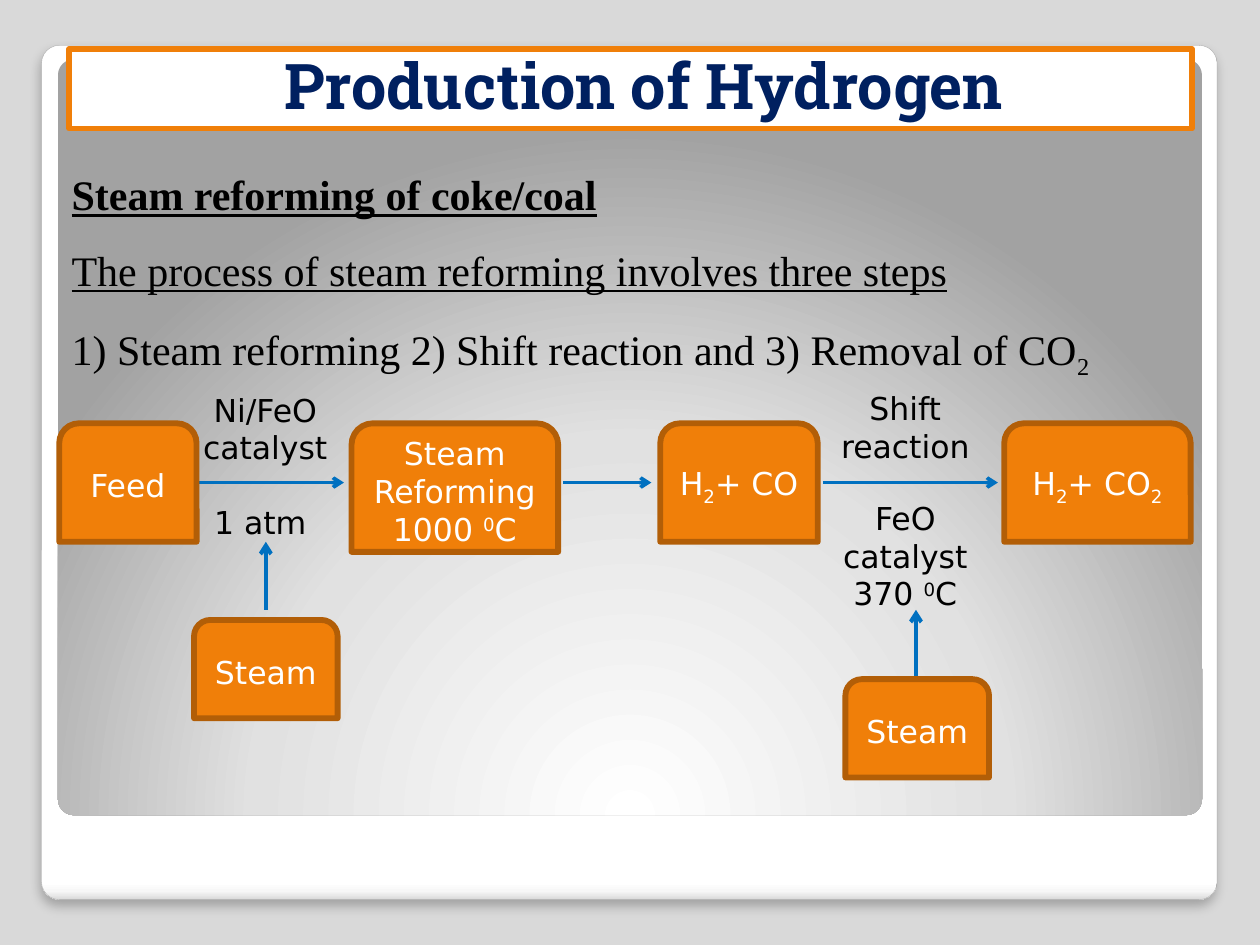
from lxml import etree
from pptx import Presentation
from pptx.dml.color import RGBColor
from pptx.enum.shapes import MSO_CONNECTOR, MSO_SHAPE
from pptx.enum.text import MSO_ANCHOR, MSO_AUTO_SIZE, PP_ALIGN
from pptx.oxml import parse_xml
from pptx.oxml.ns import nsdecls, qn
from pptx.util import Inches, Pt

ROUNDED = MSO_SHAPE.ROUNDED_RECTANGLE
STEP_BOX = MSO_SHAPE.ROUND_2_SAME_RECTANGLE
STRAIGHT = MSO_CONNECTOR.STRAIGHT
CENTER, JUSTIFY = PP_ALIGN.CENTER, PP_ALIGN.JUSTIFY
TOP, MIDDLE, BOTTOM = MSO_ANCHOR.TOP, MSO_ANCHOR.MIDDLE, MSO_ANCHOR.BOTTOM
NO_AUTOFIT = MSO_AUTO_SIZE.NONE

SUB, SUPER = -25000, 30000  # baseline shifts


def color(hex_string):
    return RGBColor.from_string(hex_string)


def write(frame, paragraphs, font="DejaVu Sans", size=18, ink="000000",
          bold=False, align=CENTER, anchor=TOP, line_spacing=None):
    """Each paragraph is a list of runs: plain text or (text, baseline)."""
    frame.word_wrap = True
    frame.auto_size = NO_AUTOFIT
    frame.vertical_anchor = anchor
    for index, runs in enumerate(paragraphs):
        paragraph = frame.add_paragraph() if index else frame.paragraphs[0]
        paragraph.alignment = align
        if line_spacing:
            paragraph.line_spacing = line_spacing
        for part in runs:
            text, baseline = (part, 0) if isinstance(part, str) else part
            run = paragraph.add_run()
            run.text = text
            run.font.name, run.font.size = font, Pt(size)
            run.font.bold = bold
            run.font.color.rgb = color(ink)
            if baseline:
                run._r.get_or_add_rPr().set("baseline", str(baseline))
    return frame.paragraphs


class Slide:
    orange, dark_orange, blue, navy = "F07F09", "B25E07", "0070C0", "002060"

    def __init__(self, presentation):
        self.slide = presentation.slides.add_slide(presentation.slide_layouts[5])
        self.shapes = self.slide.shapes

    def background(self, fill):
        self.slide.background.fill.solid()
        self.slide.background.fill.fore_color.rgb = color(fill)

    def panel(self, at, stops, direction, outline=None, shadow=None):
        panel = self.shapes.add_shape(ROUNDED, *map(Inches, at))
        panel.adjustments[0] = 0.021
        panel.shadow.inherit = False
        stop_xml = "".join(
            f'<a:gs pos="{pos * 1000}"><a:srgbClr val="{value}"/></a:gs>'
            for pos, value in stops)
        gradient = parse_xml(
            f'<a:gradFill {nsdecls("a")} rotWithShape="1">'
            f'<a:gsLst>{stop_xml}</a:gsLst>{direction}</a:gradFill>')
        properties = panel._element.spPr
        properties.find(qn("a:prstGeom")).addnext(gradient)
        if outline:
            panel.line.color.rgb = color(outline)
            panel.line.width = Pt(0.16)
        else:
            panel.line.fill.background()
        if shadow:
            properties.find(qn("a:effectLst")).append(parse_xml(shadow))

    def title(self, text, at):
        title = self.shapes.title
        title.left, title.top, title.width, title.height = map(Inches, at)
        self.paint(title, "FFFFFF", self.orange)
        title.text_frame.margin_left = Inches(0.31)
        write(title.text_frame, [[text]], font="Roboto Slab", size=36,
              ink=self.navy, bold=True, anchor=BOTTOM)
        self.shapes._spTree.append(title._element)  # in front of the panels

    def paint(self, shape, fill, outline):
        shape.fill.solid()
        shape.fill.fore_color.rgb = color(fill)
        shape.line.color.rgb = color(outline)
        shape.line.width = Pt(3.35)

    def text(self, paragraphs, at, **style):
        box = self.shapes.add_textbox(*map(Inches, at))
        return write(box.text_frame, paragraphs, **style)

    def step(self, paragraphs, at):
        box = self.shapes.add_shape(STEP_BOX, *map(Inches, at))
        box.shadow.inherit = False
        self.paint(box, self.orange, self.dark_orange)
        write(box.text_frame, paragraphs, ink="FFFFFF", anchor=MIDDLE)

    def arrow(self, start, end, width=2):
        arrow = self.shapes.add_connector(STRAIGHT, *map(Inches, start + end))
        arrow.line.color.rgb = color(self.blue)
        arrow.line.width = Pt(width)
        etree.SubElement(arrow.line._get_or_add_ln(), qn("a:tailEnd"), type="arrow")
        etree.SubElement(arrow._element.spPr, qn("a:effectLst"))


def main():
    presentation = Presentation()
    presentation.slide_width, presentation.slide_height = Inches(10), Inches(7.5)
    page = Slide(presentation)

    # Backdrop: white card with a grey spotlight panel
    page.background("D9D9D9")
    page.panel(
        (0.33, 0.36, 9.33, 6.78),
        [(0, "FFFFFF"), (98, "FFFFFF"), (99, "F7F7F7"), (100, "DADADA")],
        '<a:lin ang="5400000" scaled="0"/>', outline="A4A4A4",
        shadow=f'<a:outerShdw {nsdecls("a")} blurRad="{Pt(6)}" dist="{Pt(4)}" '
               'dir="5400000" algn="t" rotWithShape="0"><a:srgbClr val="000000">'
               '<a:alpha val="25000"/></a:srgbClr></a:outerShdw>')
    page.panel(
        (0.46, 0.47, 9.08, 6),
        [(0, "FFFFFF"), (55, "E1E1E1"), (100, "A2A2A2")],
        '<a:path path="circle"><a:fillToRect l="50000" t="175000" '
        'r="50000" b="-75000"/></a:path>')

    # Title and introduction
    page.title("Production of Hydrogen", (0.55, 0.39, 8.91, 0.63))
    heading, overview, _ = page.text(
        [["Steam reforming of coke/coal"],
         ["The process of steam reforming involves three steps"],
         ["1) Steam reforming 2) Shift reaction and 3) Removal of CO", ("2", SUB)]],
        (0.47, 1.09, 9.06, 2.32), font="Times New Roman", size=24,
        align=JUSTIFY, line_spacing=1.5)
    heading.runs[0].font.bold = True
    for underlined in (heading, overview):
        underlined.runs[0].font.underline = True

    # Arrows along the process line, then steam feeds from below
    flow_y = 3.83
    for start_x, end_x in ((1.48, 2.73), (4.47, 5.17), (6.53, 7.92)):
        page.arrow((start_x, flow_y), (end_x, flow_y))
    page.arrow((2.11, 4.84), (2.11, 4.3), width=2.25)
    page.arrow((7.27, 5.39), (7.27, 4.84), width=2.25)

    # Process steps
    step_top, step_height = 3.36, 0.94
    hydrogen = ["H", ("2", SUB)]
    for content, left, width in (
            (["Feed"], 0.47, 1.09),
            (hydrogen + ["+ CO"], 5.24, 1.25),
            (hydrogen + ["+ CO", ("2", SUB)], 7.97, 1.48)):
        page.step([content], (left, step_top, width, step_height))
    page.step([["Steam Reforming"], ["1000 ", ("0", SUPER), "C"]],
              (2.79, step_top, 1.64, 1.02))
    for left, top in ((1.54, 4.92), (6.71, 5.39)):
        page.step([["Steam"]], (left, top, 1.14, 0.78))

    # Reaction conditions
    _, pressure = page.text([["Ni/FeO catalyst"], ["1 atm "]],
                            (1.48, 3.05, 1.25, 1.31))
    pressure.space_before = Pt(21)  # leaves room for the arrow
    page.text([["Shift reaction"]], (6.56, 3.04, 1.25, 0.71))
    page.text([["FeO catalyst"], ["370 ", ("0", SUPER), "C"]],
              (6.56, 3.91, 1.25, 1.01))

    presentation.save("out.pptx")


if __name__ == "__main__":
    main()
